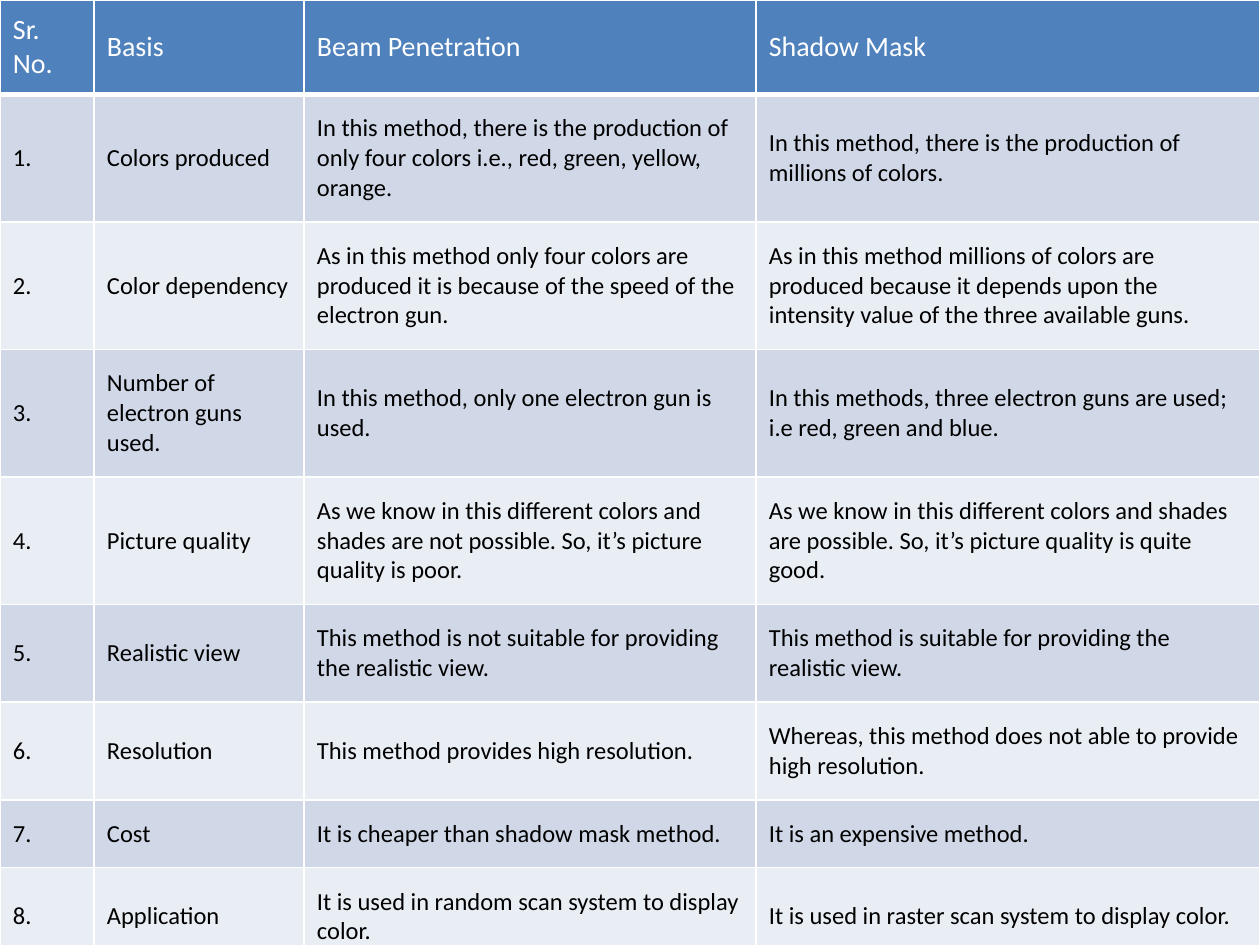
import pptx
import pptx.dml.color
import pptx.enum.text
import pptx.oxml
import pptx.oxml.ns
import pptx.util

HEADINGS = ["Sr. No.", "Basis", "Beam Penetration", "Shadow Mask"]
COMPARISONS = [
    ("Colors produced",
     "In this method, there is the production of only four colors i.e., red, green, yellow, orange.",
     "In this method, there is the production of millions of colors."),
    ("Color dependency",
     "As in this method only four colors are produced it is because of the speed of the electron gun.",
     "As in this method millions of colors are produced because it depends upon the intensity value of the three available guns."),
    ("Number of electron guns used.",
     "In this method, only one electron gun is used.",
     "In this methods, three electron guns are used; i.e red, green and blue."),
    ("Picture quality",
     "As we know in this different colors and shades are not possible. So, it’s picture quality is poor.",
     "As we know in this different colors and shades are possible. So, it’s picture quality is quite good."),
    ("Realistic view",
     "This method is not suitable for providing the realistic view.",
     "This method is suitable for providing the realistic view."),
    ("Resolution",
     "This method provides high resolution.",
     "Whereas, this method does not able to provide high resolution."),
    ("Cost",
     "It is cheaper than shadow mask method.",
     "It is an expensive method."),
    ("Application",
     "It is used in random scan system to display color.",
     "It is used in raster scan system to display color."),
]
COLUMN_WIDTHS = [94, 210, 452, 504]
HEADING_HEIGHT, COMPARISON_HEIGHT = 73, 52
TABLE_HEIGHT = 946
HEADING_FILL, BAND_FILLS = "4F81BD", ("D0D8E8", "E9EDF4")
WHITE, BLACK = "FFFFFF", "000000"


def px(length):
    return pptx.util.Emu(round(length * 914400 / 126))


def color(value):
    return pptx.dml.color.RGBColor.from_string(value)


def write(cell, text, size, ink, margin):
    cell.margin_left = cell.margin_right = px(13)
    cell.margin_top = cell.margin_bottom = px(margin)
    cell.vertical_anchor = pptx.enum.text.MSO_ANCHOR.MIDDLE
    run = cell.text_frame.paragraphs[0].add_run()
    run.text = text
    run.font.name = "Calibri"
    run.font.size = pptx.util.Pt(size)
    run.font.bold = False
    run.font.color.rgb = color(ink)


def outline(cell, top=1, bottom=1):
    properties = cell._tc.get_or_add_tcPr()
    for position, (side, points) in enumerate(
            [("L", 1), ("R", 1), ("T", top), ("B", bottom)]):
        properties.insert(position, pptx.oxml.parse_xml(
            f'<a:ln{side} {pptx.oxml.ns.nsdecls("a")} w="{points * 12700}">'
            f'<a:solidFill><a:srgbClr val="{WHITE}"/></a:solidFill></a:ln{side}>'))


def main():
    deck = pptx.Presentation()
    deck.slide_width, deck.slide_height = px(1260), px(945)
    slide = deck.slides.add_slide(deck.slide_layouts[6])

    rows = [HEADINGS] + [(f"{number}.", *comparison)
                         for number, comparison in enumerate(COMPARISONS, 1)]
    frame = slide.shapes.add_table(len(rows), len(HEADINGS), 0, 0,
                                   px(sum(COLUMN_WIDTHS)), px(TABLE_HEIGHT))
    table = frame.table
    for column, width in zip(table.columns, COLUMN_WIDTHS):
        column.width = px(width)

    for index, texts in enumerate(rows):
        heading = index == 0
        table.rows[index].height = px(HEADING_HEIGHT if heading else COMPARISON_HEIGHT)
        for cell, text in zip(table.rows[index].cells, texts):
            if heading:
                write(cell, text, size=16, ink=WHITE, margin=13)
            else:
                write(cell, text, size=14, ink=BLACK, margin=19)
            cell.fill.solid()
            cell.fill.fore_color.rgb = color(
                HEADING_FILL if heading else BAND_FILLS[(index - 1) % 2])
            outline(cell, top=3 if index == 1 else 1, bottom=3 if heading else 1)
    frame.height = px(TABLE_HEIGHT)

    deck.save("out.pptx")


if __name__ == "__main__":
    main()
